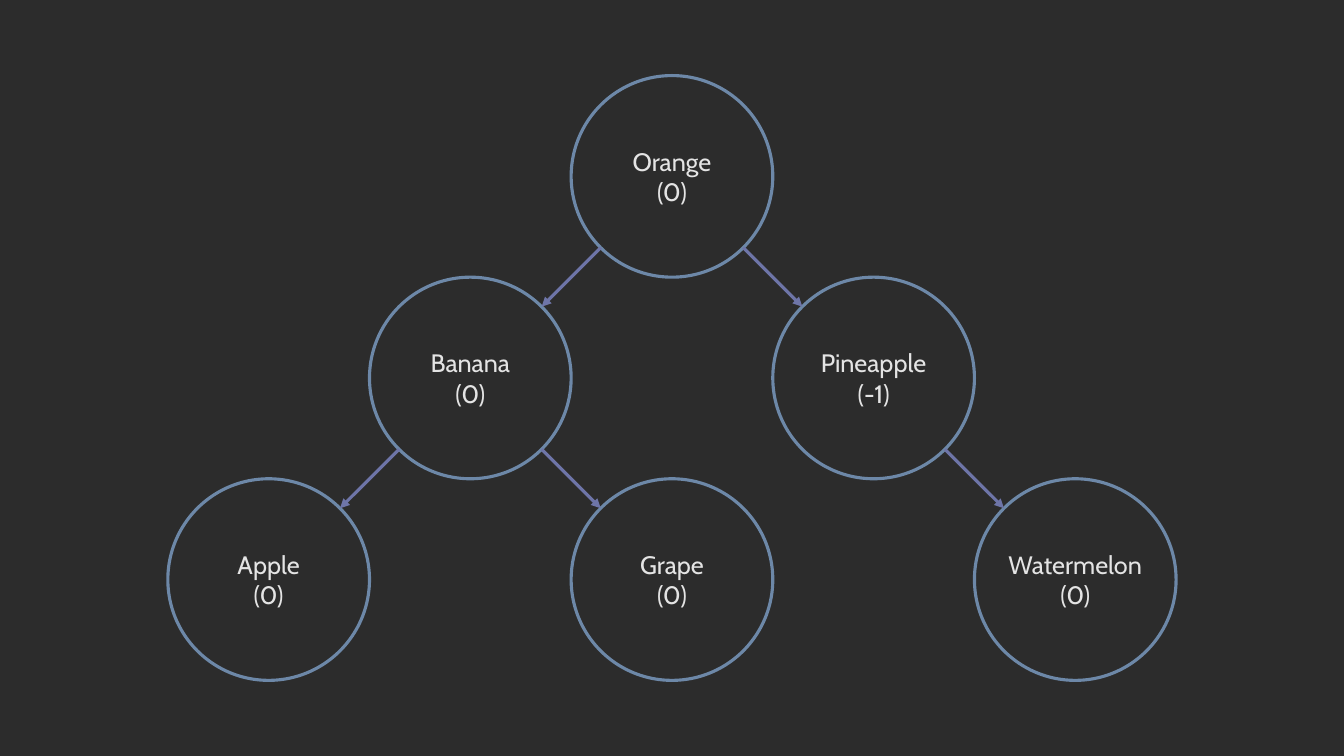
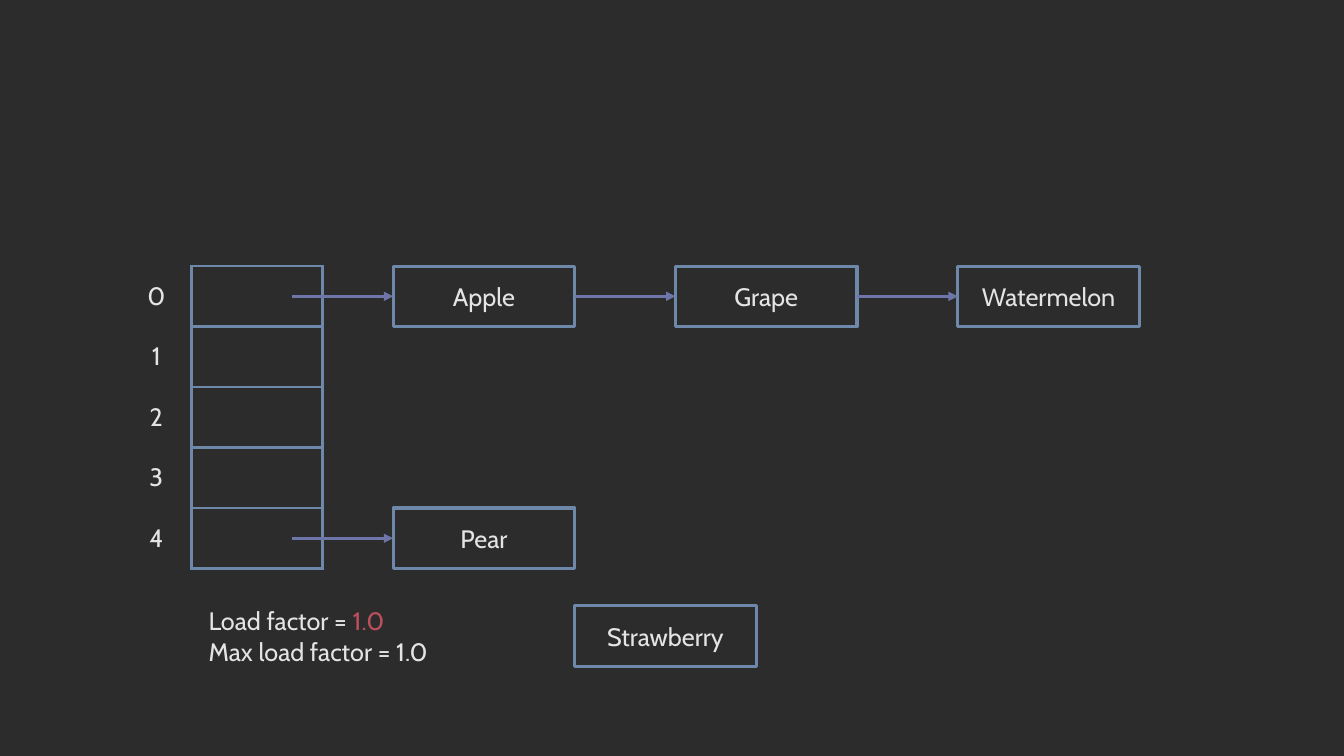
from dataclasses import dataclass
from math import hypot
from typing import Any, Optional

from lxml.etree import SubElement
from pptx import Presentation
from pptx.dml.color import RGBColor
from pptx.enum.shapes import MSO_CONNECTOR, MSO_SHAPE
from pptx.enum.text import MSO_ANCHOR, MSO_AUTO_SIZE, PP_ALIGN
from pptx.oxml.ns import qn
from pptx.shapes.autoshape import Shape
from pptx.shapes.connector import Connector
from pptx.slide import Slide
from pptx.table import _Cell as Cell
from pptx.util import Inches, Pt

# Shared look
BACKGROUND = RGBColor(0x2C, 0x2C, 0x2C)
OUTLINE = RGBColor(0x6D, 0x88, 0xA8)
ARROW = RGBColor(0x6E, 0x75, 0xA8)
TEXT = RGBColor(0xE4, 0xE4, 0xE4)
ALERT = RGBColor(0xBB, 0x4F, 0x5C)
LINE_WIDTH = Pt(2.25)
FONT_FORMAT = {"name": "Cabin", "size": Pt(18)}
NO_MARGINS = {f"margin_{side}": 0 for side in ("left", "top", "right", "bottom")}
TABLE_FLAGS = {"first_row": False, "horz_banding": False}

SLIDE_WIDTH, SLIDE_HEIGHT = 13.33, 7.5
BLANK_LAYOUT = 6

# Tree grid: one step is one circle diameter
STEP = 2.0
TREE_CENTER = SLIDE_WIDTH / 2
TREE_TOP = (SLIDE_HEIGHT - 3 * STEP) / 2

# Hash table grid: buckets on the left, chained boxes to the right
ROW = 0.6
BUCKETS = 5
TABLE_LEFT, TABLE_TOP = 1.2, 2.64
INDEX_WIDTH, BUCKET_WIDTH = 0.7, 1.3
CHAIN_LEFT, CHAIN_PITCH = 3.9, 2.8
BOX_WIDTH = 1.8
POINTER_LENGTH = 1.0


@dataclass(frozen=True)
class TreeNode:
    name: str
    balance: int
    column: int  # steps from the centre line
    level: int
    parent: Optional[str] = None

    @property
    def center(self) -> tuple[float, float]:
        return (TREE_CENTER + self.column * STEP,
                TREE_TOP + (self.level + 0.5) * STEP)


@dataclass(frozen=True)
class Chain:
    bucket: int
    names: tuple[str, ...]


TREE = (
    TreeNode("Orange", 0, 0, 0),
    TreeNode("Banana", 0, -1, 1, "Orange"),
    TreeNode("Pineapple", -1, 1, 1, "Orange"),
    TreeNode("Apple", 0, -2, 2, "Banana"),
    TreeNode("Grape", 0, 0, 2, "Banana"),
    TreeNode("Watermelon", 0, 2, 2, "Pineapple"),
)
CHAINS = (
    Chain(0, ("Apple", "Grape", "Watermelon")),
    Chain(4, ("Pear",)),
)


def apply_format(target: Any, values: dict[str, Any]) -> None:
    for name, value in values.items():
        setattr(target, name, value)


def write_lines(text_frame: Any, lines: list[list[tuple[str, RGBColor]]],
                alignment: PP_ALIGN) -> None:
    """Write one paragraph per line, each made of coloured runs."""
    for number, line in enumerate(lines):
        paragraph = text_frame.add_paragraph() if number else text_frame.paragraphs[0]
        paragraph.alignment = alignment
        for text, color in line:
            run = paragraph.add_run()
            run.text = text
            apply_format(run.font, FONT_FORMAT)
            run.font.color.rgb = color


def add_outline(slide: Slide, kind: MSO_SHAPE, left: float, top: float,
                width: float, height: float, *lines: str) -> Shape:
    shape = slide.shapes.add_shape(
        kind, Inches(left), Inches(top), Inches(width), Inches(height))
    shape.shadow.inherit = False
    shape.fill.background()
    shape.line.color.rgb = OUTLINE
    shape.line.width = LINE_WIDTH
    shape.text_frame.vertical_anchor = MSO_ANCHOR.MIDDLE
    write_lines(shape.text_frame, [[(line, TEXT)] for line in lines], PP_ALIGN.CENTER)
    return shape


def add_arrow(slide: Slide, start: tuple[float, float],
              end: tuple[float, float]) -> Connector:
    connector = slide.shapes.add_connector(
        MSO_CONNECTOR.STRAIGHT, *(Inches(value) for value in (*start, *end)))
    connector.line.color.rgb = ARROW
    connector.line.width = LINE_WIDTH
    SubElement(connector.line._get_or_add_ln(), qn("a:tailEnd"), type="triangle")
    SubElement(connector._element.spPr, qn("a:effectLst"))
    return connector


def add_box(slide: Slide, left: float, top: float, name: str) -> Shape:
    return add_outline(slide, MSO_SHAPE.RECTANGLE, left, top, BOX_WIDTH, ROW, name)


def set_borders(cell: Cell, visible_sides: str) -> None:
    """Draw the named sides (letters of LRTB) and hide the others."""
    properties = cell._tc.get_or_add_tcPr()
    for side in "LRTB":
        border = SubElement(properties, qn(f"a:ln{side}"), w=str(LINE_WIDTH))
        if side in visible_sides:
            fill = SubElement(border, qn("a:solidFill"))
            SubElement(fill, qn("a:srgbClr"), val=str(OUTLINE))
        else:
            SubElement(border, qn("a:noFill"))


def add_buckets(slide: Slide) -> None:
    table = slide.shapes.add_table(
        BUCKETS, 2, Inches(TABLE_LEFT), Inches(TABLE_TOP),
        Inches(INDEX_WIDTH + BUCKET_WIDTH), Inches(BUCKETS * ROW)).table
    apply_format(table, TABLE_FLAGS)
    for column, width in zip(table.columns, (INDEX_WIDTH, BUCKET_WIDTH)):
        column.width = Inches(width)
    for index, row in enumerate(table.rows):
        row.height = Inches(ROW)
        for cell, sides in zip(row.cells, ("R", "LRTB")):
            set_borders(cell, sides)
            cell.fill.background()
            cell.vertical_anchor = MSO_ANCHOR.MIDDLE
        write_lines(row.cells[0].text_frame, [[(str(index), TEXT)]], PP_ALIGN.CENTER)


def add_chain(slide: Slide, chain: Chain) -> None:
    top = TABLE_TOP + chain.bucket * ROW
    middle = top + ROW / 2
    previous = None
    for position, name in enumerate(chain.names):
        left = CHAIN_LEFT + position * CHAIN_PITCH
        box = add_box(slide, left, top, name)
        arrow = add_arrow(slide, (left - POINTER_LENGTH, middle), (left, middle))
        if previous is not None:
            arrow.begin_connect(previous, 3)
        arrow.end_connect(box, 1)
        previous = box


def build_tree_slide(slide: Slide) -> None:
    nodes = {node.name: node for node in TREE}
    radius = STEP / 2
    for node in TREE:
        x, y = node.center
        circle = add_outline(slide, MSO_SHAPE.OVAL, x - radius, y - radius,
                             STEP, STEP, node.name, f"({node.balance})")
        apply_format(circle.text_frame, NO_MARGINS)
    # Arrows run from rim to rim along the line between centres
    for node in TREE:
        if node.parent is None:
            continue
        x, y = node.center
        parent_x, parent_y = nodes[node.parent].center
        share = radius / hypot(x - parent_x, y - parent_y)
        shift_x, shift_y = (x - parent_x) * share, (y - parent_y) * share
        add_arrow(slide, (parent_x + shift_x, parent_y + shift_y),
                  (x - shift_x, y - shift_y))


def build_hash_table_slide(slide: Slide) -> None:
    add_buckets(slide)
    for chain in CHAINS:
        add_chain(slide, chain)
    # Item waiting to be inserted
    add_box(slide, CHAIN_LEFT + BOX_WIDTH, 6.01, "Strawberry")
    # Load factor note
    note = slide.shapes.add_textbox(
        Inches(1.97), Inches(5.96), Inches(2.45), Inches(0.71)).text_frame
    apply_format(note, {"word_wrap": False,
                        "auto_size": MSO_AUTO_SIZE.SHAPE_TO_FIT_TEXT})
    write_lines(note, [[("Load factor = ", TEXT), ("1.0", ALERT)],
                       [("Max load factor = 1.0", TEXT)]], PP_ALIGN.LEFT)


def main() -> None:
    presentation = Presentation()
    presentation.slide_width = Inches(SLIDE_WIDTH)
    presentation.slide_height = Inches(SLIDE_HEIGHT)
    background = presentation.slide_master.background.fill
    background.solid()
    background.fore_color.rgb = BACKGROUND
    for build in (build_tree_slide, build_hash_table_slide):
        build(presentation.slides.add_slide(presentation.slide_layouts[BLANK_LAYOUT]))
    presentation.save("out.pptx")


if __name__ == "__main__":
    main()
